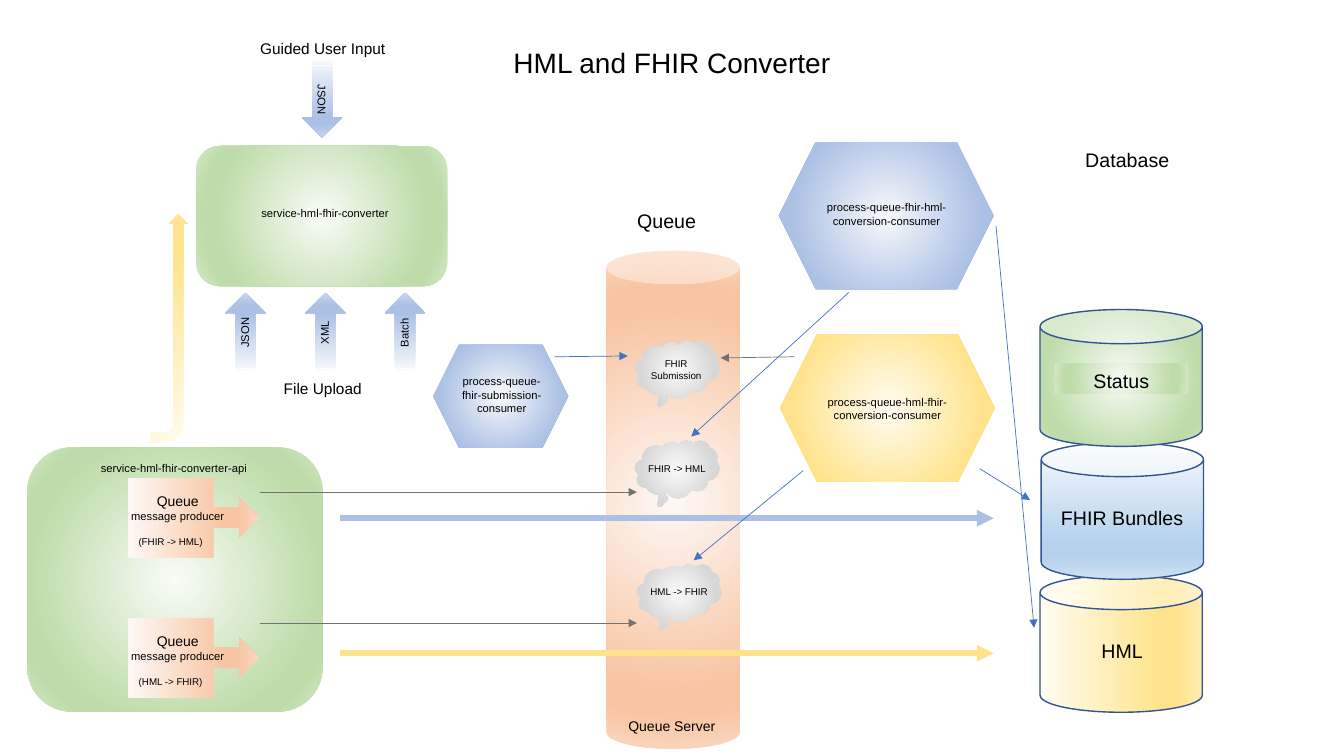
from dataclasses import dataclass, field

import pptx
import pptx.dml.color
import pptx.enum.shapes
import pptx.enum.text
import pptx.oxml
import pptx.oxml.ns
import pptx.shapes.autoshape
import pptx.slide
import pptx.text.text
import pptx.util

Cm, Pt = pptx.util.Cm, pptx.util.Pt
MSO = pptx.enum.shapes.MSO_SHAPE
NS = pptx.oxml.ns.nsdecls("a")
Box = tuple[float, float, float, float]
Point = tuple[float, float]


@dataclass(frozen=True)
class Theme:
    font: str = "Arial"
    text: str = "000000"
    outline: str = "325491"
    link: str = "4472C4"
    grey_link: str = "767171"
    # Gradient colours: start, middle band, end
    blue: tuple = ("F6F8FC", "ABC0E4", "C7D5ED")
    green: tuple = ("F8FBF6", "BEDCAA", "D4E8C6")
    orange: tuple = ("FEF8F5", "F7C5A2", "FAD8C1")
    grey: tuple = ("FAFAFA", "D7D7D7", "E4E4E4")
    yellow: tuple = ("FFFCF2", "FFE38C", "FFECB2")
    sky: tuple = ("F7FAFD", "B5D2EC", "CEE1F2")
    title: int = 20
    heading: int = 14
    caption: int = 11
    server: int = 10
    body: int = 8
    small: int = 7


T = Theme()


@dataclass
class Block:
    """A gradient shape; no angle means the gradient is radial."""
    kind: MSO
    box: Box
    colors: tuple
    angle: int | None = None
    rotation: int = 0
    outlined: bool = False
    flipped: bool = False
    lines: dict[str, int] = field(default_factory=dict)


@dataclass
class Label:
    """Text lines, each with its type size."""
    box: Box
    lines: dict[str, int]
    rotation: int = 0


@dataclass
class Arrow:
    start: Point
    end: Point
    color: str = T.link
    width: float = 0.5


def rgb(color: str) -> pptx.dml.color.RGBColor:
    return pptx.dml.color.RGBColor.from_string(color)


def write(tf: pptx.text.text.TextFrame, lines: dict[str, int]) -> None:
    frame_format = {
        "word_wrap": True,
        "auto_size": pptx.enum.text.MSO_AUTO_SIZE.SHAPE_TO_FIT_TEXT,
        "vertical_anchor": pptx.enum.text.MSO_ANCHOR.TOP,
    }
    for name, value in frame_format.items():
        setattr(tf, name, value)
    for i, (text, size) in enumerate(lines.items()):
        p = tf.paragraphs[0] if i == 0 else tf.add_paragraph()
        p.alignment = pptx.enum.text.PP_ALIGN.CENTER
        r = p.add_run()
        r.text = text
        for name, value in {"name": T.font, "size": Pt(size)}.items():
            setattr(r.font, name, value)
        r.font.color.rgb = rgb(T.text)


def fill_gradient(sp: pptx.shapes.autoshape.Shape, colors: tuple, angle: int | None) -> None:
    start, band, end = colors
    stops = "".join(
        f'<a:gs pos="{pos * 1000}"><a:srgbClr val="{color}"/></a:gs>'
        for pos, color in ((0, start), (74, band), (83, band), (100, end)))
    if angle is None:
        shade = ('<a:path path="circle"><a:fillToRect l="50000" t="50000" '
                 'r="50000" b="50000"/></a:path>')
    else:
        shade = f'<a:lin ang="{angle * 60000}" scaled="1"/>'
    sp.fill.background()
    props = sp._element.spPr
    props.replace(props.find(pptx.oxml.ns.qn("a:noFill")), pptx.oxml.parse_xml(
        f'<a:gradFill {NS} rotWithShape="1"><a:gsLst>{stops}</a:gsLst>{shade}</a:gradFill>'))


def draw_block(s: pptx.slide.Slide, b: Block) -> None:
    sp = s.shapes.add_shape(b.kind, *map(Cm, b.box))
    sp.shadow.inherit = False
    sp.rotation = b.rotation
    fill_gradient(sp, b.colors, b.angle)
    if b.outlined:
        sp.line.color.rgb = rgb(T.outline)
        sp.line.width = Pt(1)
    else:
        sp.line.fill.background()
    if b.flipped:
        sp._element.spPr.xfrm.set("flipV", "1")
    if b.lines:
        write(sp.text_frame, b.lines)


def draw_label(s: pptx.slide.Slide, label: Label) -> None:
    sp = s.shapes.add_textbox(*map(Cm, label.box))
    sp.rotation = label.rotation
    write(sp.text_frame, label.lines)


def draw_arrow(s: pptx.slide.Slide, a: Arrow) -> None:
    line = s.shapes.add_connector(
        pptx.enum.shapes.MSO_CONNECTOR.STRAIGHT, *map(Cm, a.start + a.end))
    line.line.color.rgb = rgb(a.color)
    line.line.width = Pt(a.width)
    line.line._get_or_add_ln().append(pptx.oxml.parse_xml(f'<a:tailEnd {NS} type="triangle"/>'))
    line._element.spPr.append(pptx.oxml.parse_xml(f"<a:effectLst {NS}/>"))


BLOCKS = [
    Block(MSO.ROUNDED_RECTANGLE, (4.95, 3.68, 6.32, 3.53), T.green),
    Block(MSO.CAN, (15.29, 6.32, 3.35, 12.55), T.orange),
    Block(MSO.ROUNDED_RECTANGLE, (0.69, 11.28, 7.44, 6.65), T.green),
    Block(MSO.BENT_ARROW, (1.4, 7.8, 5.72, 0.94), T.yellow, 45, 270, flipped=True),
]
LABELS = [
    Label((14.35, 5.13, 4.9, 0.86), {"Queue": T.heading}),
    Label((25.96, 3.61, 4.9, 0.86), {"Database": T.heading}),
    Label((6.05, 0.86, 4.17, 0.74), {"Guided User Input": T.caption}),
    Label((6.05, 9.42, 4.17, 0.74), {"File Upload": T.caption}),
    Label((5.97, 5.08, 4.45, 0.61), {"service-hml-fhir-converter": T.body}),
    Label((1.78, 11.51, 5.21, 0.61), {"service-hml-fhir-converter-api": T.body}),
    Label((14.48, 17.96, 4.9, 0.97), {"Queue Server": T.server}),
]
ARROWS = [
    Arrow((8.56, 16.46), (25.04, 16.46), T.yellow[1], 4),
    Arrow((8.56, 13.06), (25.04, 13.06), T.blue[1], 4),
    Arrow((6.55, 12.4), (16.05, 12.4), T.grey_link),
    Arrow((6.55, 15.7), (16.05, 15.7), T.grey_link),
    Arrow((20.02, 8.99), (18.16, 9.02), T.grey_link),
    Arrow((21.39, 7.37), (17.42, 11)),
    Arrow((20.24, 11.86), (17.48, 14.12)),
    Arrow((24.69, 11.81), (25.96, 12.6)),
    Arrow((25.1, 5.69), (26.06, 15.82)),
    Arrow((13.97, 8.99), (15.82, 8.97)),
]

UPLOADS = [(5.21 + 2.01 * i, 7.85, 270, name) for i, name in enumerate(("JSON", "XML", "Batch"))]
for x, y, turn, name in [(7.14, 1.98, 90, "JSON"), *UPLOADS]:
    BLOCKS.append(Block(MSO.STRIPED_RIGHT_ARROW, (x, y, 1.96, 1.02), T.blue, 0, turn))
    LABELS.append(Label((x - 0.66, y + 0.23, 3.25, 0.61), {name: T.body}, turn))

for x, y, text_box, topic in (
        (16, 8.59, (15.95, 8.89, 2.18, 1.19), "FHIR Submission"),
        (16, 11.1, (15.98, 11.53, 2.16, 0.79), "FHIR -> HML"),
        (16.05, 14.22, (15.77, 14.63, 2.69, 0.79), "HML -> FHIR")):
    BLOCKS.append(Block(MSO.CLOUD_CALLOUT, (x, y, 2.13, 1.45), T.grey))
    LABELS.append(Label(text_box, {topic: T.small}))

for i, direction in enumerate(("(FHIR -> HML)", "(HML -> FHIR)")):
    y = 12.04 + 3.53 * i
    BLOCKS.append(Block(MSO.RIGHT_ARROW_CALLOUT, (3.23, y, 3.3, 2.01), T.orange, 0))
    LABELS.append(Label((2.03, y + 0.25, 4.9, 1.02),
                        {"Queue": T.server, "message producer": T.body}))
    LABELS.append(Label((1.85, y + 1.34, 4.9, 0.56), {direction: T.small}))

for box, colors, text_box, consumer in (
        ((19.66, 8.43, 5.41, 3.71), T.yellow, (20.14, 9.83, 4.45, 0.94), "hml-fhir-conversion"),
        ((19.63, 3.58, 5.41, 3.71), T.blue, (20.12, 4.93, 4.45, 0.94), "fhir-hml-conversion"),
        ((10.92, 8.69, 3.4, 2.59), T.blue, (11.25, 9.32, 2.79, 1.27), "fhir-submission")):
    BLOCKS.append(Block(MSO.HEXAGON, box, colors))
    LABELS.append(Label(text_box, {f"process-queue-{consumer}-consumer": T.body}))

for i, (x, colors, angle, store) in enumerate((
        (26.21, T.yellow, 0, "HML"), (26.24, T.sky, 90, "FHIR Bundles"),
        (26.21, T.green, None, ""))):
    y = 14.5 - 3.35 * i
    BLOCKS.append(Block(MSO.CAN, (x, y, 4.09, 3.45), colors, angle, outlined=True))
    if store:
        LABELS.append(Label((25.83, y + 1.47, 4.9, 0.71), {store: T.heading}))
BLOCKS.append(Block(MSO.RECTANGLE, (26.57, 9.17, 3.38, 0.76), T.green,
                    lines={"Status": T.heading}))


def main() -> None:
    prs = pptx.Presentation()
    prs.slide_width, prs.slide_height = Cm(33.87), Cm(19.05)
    s = prs.slides.add_slide(prs.slide_layouts[5])
    title = s.shapes.title
    for name, value in {"left": 10.9, "top": 1.02, "width": 12.07, "height": 1.12}.items():
        setattr(title, name, Cm(value))
    write(title.text_frame, {"HML and FHIR Converter": T.title})
    for b in BLOCKS:
        draw_block(s, b)
    for label in LABELS:
        draw_label(s, label)
    for a in ARROWS:
        draw_arrow(s, a)
    prs.save("out.pptx")


if __name__ == "__main__":
    main()
